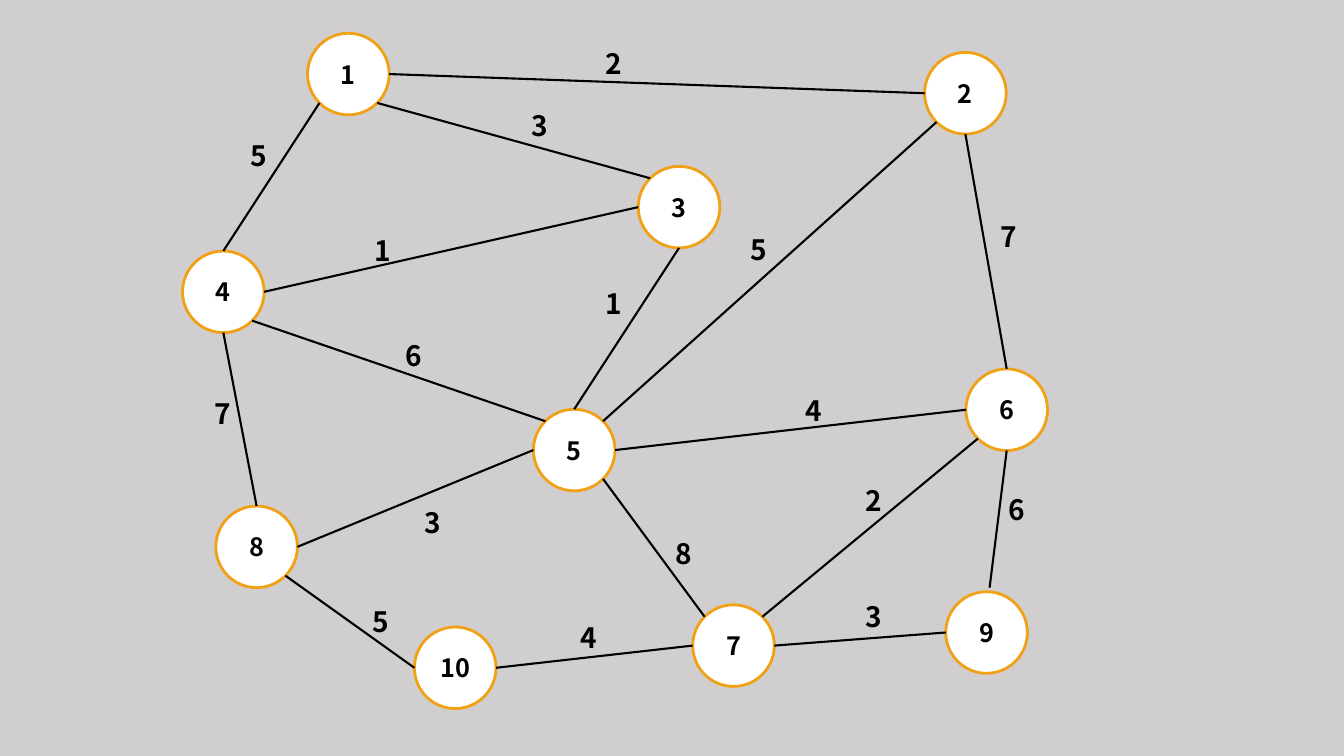
import math
from dataclasses import dataclass

import pptx
import pptx.dml.color
import pptx.enum.shapes
import pptx.enum.text
import pptx.oxml.ns
import pptx.util
from lxml import etree
from pptx.util import Inches


@dataclass(frozen=True)
class Theme:
    back: str = "D0CECE"
    fill: str = "FFFFFF"
    ring: str = "F1A116"
    ink: str = "000000"
    font: str = "Noto Sans CJK KR"
    node: int = 18
    cost: int = 20


THEME = Theme()
SIZE = 0.81
# Ellipse connection sites, counterclockwise from the top
PORTS = ["N", "NW", "W", "SW", "S", "SE", "E", "NE"]

# Node: left, top
NODES = {
    1: (3.05, 0.33), 2: (9.17, 0.52), 3: (6.33, 1.65), 4: (1.81, 2.49),
    5: (5.29, 4.06), 6: (9.58, 3.66), 7: (6.87, 6), 8: (2.14, 5.02),
    9: (9.38, 5.87), 10: (4.11, 6.22),
}

# Start node, port, end node, port, cost, left and top of the cost
EDGES = [
    (4, "N", 1, "SW", 5, 2.39, 1.32),
    (3, "NW", 1, "SE", 3, 5.17, 1.03),
    (2, "W", 1, "E", 2, 5.91, 0.41),
    (2, "S", 6, "N", 7, 9.82, 2.13),
    (2, "SW", 5, "NE", 5, 7.35, 2.26),
    (3, "S", 5, "N", 1, 5.91, 2.79),
    (3, "W", 4, "E", 1, 3.62, 2.27),
    (4, "S", 8, "N", 7, 2.03, 3.88),
    (5, "W", 8, "E", 3, 4.11, 4.97),
    (5, "NW", 4, "SE", 6, 3.92, 3.31),
    (5, "SE", 7, "NW", 8, 6.6, 5.27),
    (6, "W", 5, "E", 4, 7.89, 3.85),
    (6, "S", 9, "N", 6, 9.9, 4.84),
    (6, "SW", 7, "NE", 2, 8.49, 4.75),
    (10, "E", 7, "W", 4, 5.66, 6.11),
    (10, "W", 8, "SE", 5, 3.6, 5.95),
    (9, "W", 7, "E", 3, 8.49, 5.9),
]
# Ends that stop just short of their node: shift in x and y
LOOSE = {(9, "N"): (0.03, -0.04)}


def tint(code):
    return pptx.dml.color.RGBColor.from_string(code)


def write(shape, text, size, align=None, anchor=None):
    frame = shape.text_frame
    frame.vertical_anchor = anchor
    para = frame.paragraphs[0]
    para.alignment = align
    run = para.add_run()
    run.text = str(text)
    run.font.name = THEME.font
    run.font.size = pptx.util.Pt(size)
    run.font.bold = True
    run.font.color.rgb = tint(THEME.ink)


def add_node(slide, name, left, top):
    kind = pptx.enum.shapes.MSO_SHAPE.OVAL
    node = slide.shapes.add_shape(
        kind, Inches(left), Inches(top), Inches(SIZE), Inches(SIZE))
    node.shadow.inherit = False
    node.fill.solid()
    node.fill.fore_color.rgb = tint(THEME.fill)
    node.line.color.rgb = tint(THEME.ring)
    node.line.width = pptx.util.Pt(2)
    write(node, name, THEME.node, align=pptx.enum.text.PP_ALIGN.CENTER,
          anchor=pptx.enum.text.MSO_ANCHOR.MIDDLE)
    return node


def find_port(name, port):
    """Return the point of a port on the node's rim."""
    left, top = NODES[name]
    turn = math.radians(90 + 45 * PORTS.index(port))
    half = SIZE / 2
    dx, dy = LOOSE.get((name, port), (0, 0))
    x = left + half + half * math.cos(turn) + dx
    y = top + half - half * math.sin(turn) + dy
    return Inches(x), Inches(y)


def glue(line, tag, node, port):
    """Join a line end to any of the eight sites of an ellipse."""
    qn = pptx.oxml.ns.qn
    props = next(line._element.iter(qn("p:cNvCxnSpPr")))
    etree.SubElement(props, qn(tag), id=str(node.shape_id),
                     idx=str(PORTS.index(port)))


def add_edge(slide, nodes, start, end):
    kind = pptx.enum.shapes.MSO_CONNECTOR.STRAIGHT
    line = slide.shapes.add_connector(
        kind, *find_port(*start), *find_port(*end))
    line.line.color.rgb = tint(THEME.ink)
    line.line.width = pptx.util.Pt(1.5)
    etree.SubElement(line._element.spPr, pptx.oxml.ns.qn("a:effectLst"))
    for tag, (name, port) in (("a:stCxn", start), ("a:endCxn", end)):
        if (name, port) not in LOOSE:
            glue(line, tag, nodes[name], port)


def add_cost(slide, cost, left, top):
    box = slide.shapes.add_textbox(
        Inches(left), Inches(top), Inches(0.36), Inches(0.44))
    box.text_frame.word_wrap = False
    box.text_frame.auto_size = pptx.enum.text.MSO_AUTO_SIZE.SHAPE_TO_FIT_TEXT
    write(box, cost, THEME.cost)


def add_graph(slide):
    nodes = {name: add_node(slide, name, *spot)
             for name, spot in NODES.items()}
    for start, out, end, into, cost, left, top in EDGES:
        add_edge(slide, nodes, (start, out), (end, into))
        add_cost(slide, cost, left, top)


def main():
    deck = pptx.Presentation()
    deck.slide_width = Inches(13.33)
    deck.slide_height = Inches(7.5)
    slide = deck.slides.add_slide(deck.slide_layouts[6])
    slide.background.fill.solid()
    slide.background.fill.fore_color.rgb = tint(THEME.back)
    add_graph(slide)
    deck.save("out.pptx")


if __name__ == "__main__":
    main()
